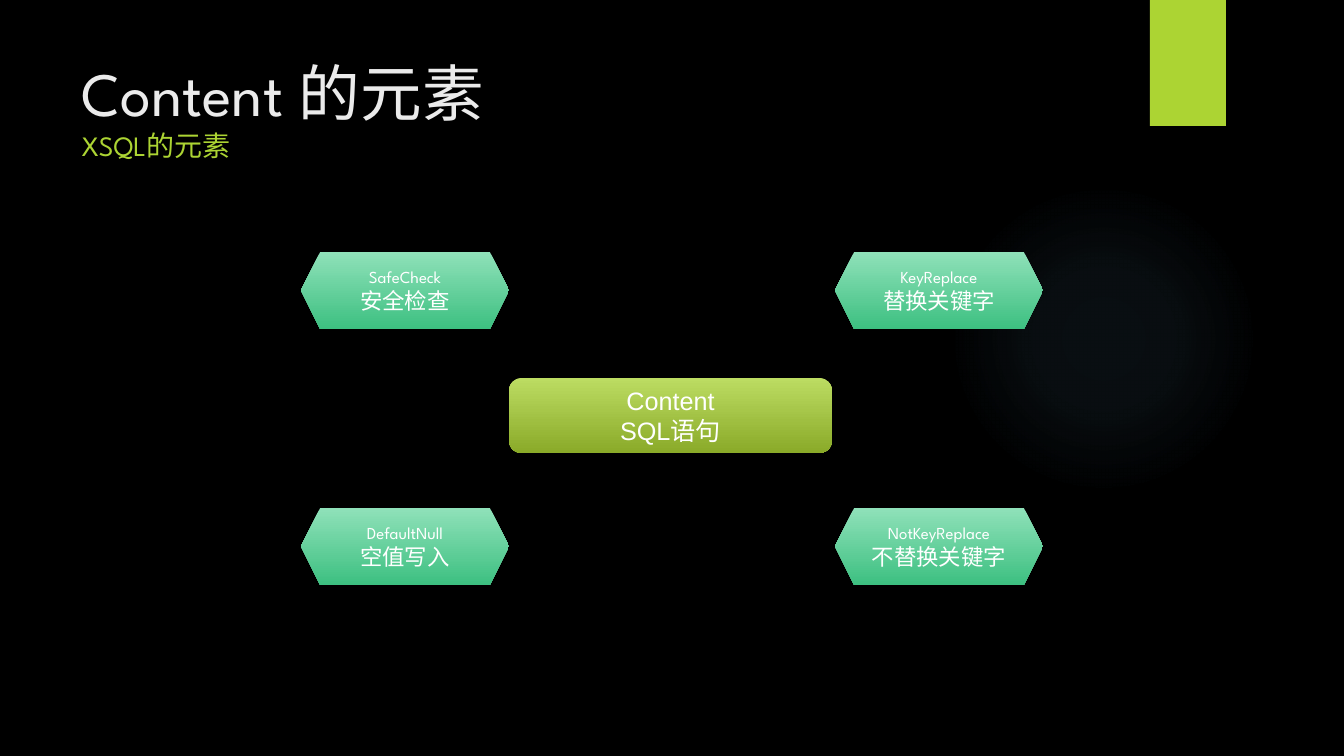
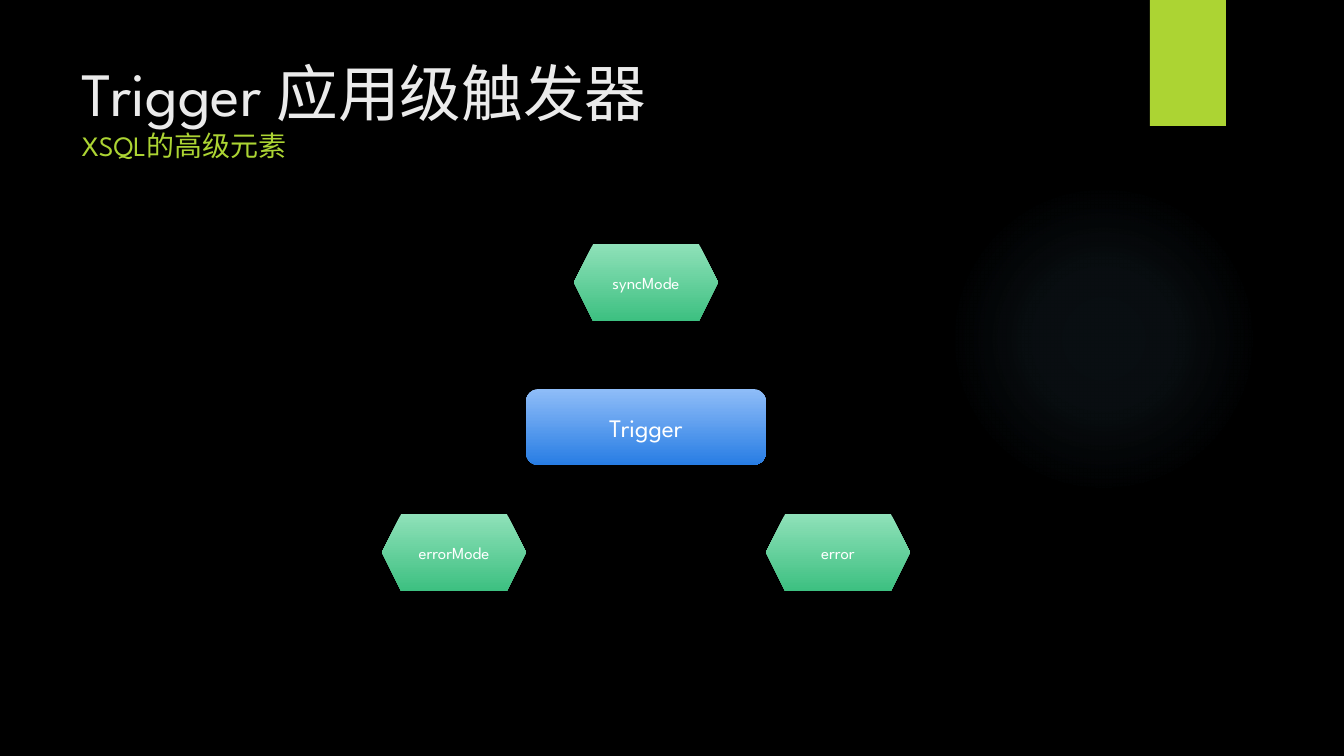
from dataclasses import dataclass
from itertools import product

from lxml.etree import fromstring
from pptx import Presentation
from pptx.dml.color import RGBColor
from pptx.enum.shapes import MSO_SHAPE
from pptx.enum.text import MSO_ANCHOR, PP_ALIGN
from pptx.util import Emu, Pt

EMU_PER_PIXEL = 914400 / 100.8
DRAWING_NAMESPACE = "http://schemas.openxmlformats.org/drawingml/2006/main"


@dataclass(frozen=True)
class Theme:
    background: str = "000000"
    accent: str = "ACD433"
    heading: str = "EBEBEB"
    label: str = "FFFFFF"
    glow: str = "7AC4F0"
    green: tuple = ("8FE1B9", "3DC081")
    lime: tuple = ("BCDC62", "8AAA29")
    blue: tuple = ("8FBDF8", "287DE4")
    font: str = "League Spartan"
    plain_font: str = "Arial"
    title_size: int = 44
    subtitle_size: int = 20
    core_size: int = 18
    caption_size: int = 16
    name_size: int = 12


THEME = Theme()


def px(length):
    return Emu(round(length * EMU_PER_PIXEL))


def add_span(para, text, size, color, font=THEME.font):
    span = para.add_run()
    span.text = text
    span.font.size = Pt(size)
    span.font.name = font
    span.font.color.rgb = RGBColor.from_string(color)


def add_plain_shape(page, kind, bounds):
    shape = page.shapes.add_shape(kind, *map(px, bounds))
    shape.shadow.inherit = False
    shape.line.fill.background()
    return shape


def add_glow(page):
    glow = add_plain_shape(page, MSO_SHAPE.OVAL, (949, 184, 310, 310))
    glow.fill.background()
    stops = "".join(
        f'<a:gs pos="{position * 1000}"><a:srgbClr val="{THEME.glow}">'
        f'<a:alpha val="{alpha * 1000}"/></a:srgbClr></a:gs>'
        for position, alpha in ((0, 7), (36, 6), (69, 0))
    )
    gradient = fromstring(
        f'<a:gradFill xmlns:a="{DRAWING_NAMESPACE}" rotWithShape="1">'
        f'<a:gsLst>{stops}</a:gsLst><a:path path="circle">'
        '<a:fillToRect l="50000" t="50000" r="50000" b="50000"/>'
        '</a:path></a:gradFill>'
    )
    properties = glow.element.spPr
    properties.replace(properties.find(f"{{{DRAWING_NAMESPACE}}}noFill"), gradient)


def add_badge(page):
    badge = add_plain_shape(page, MSO_SHAPE.RECTANGLE, (1150, 0, 76, 126))
    badge.fill.solid()
    badge.fill.fore_color.rgb = RGBColor.from_string(THEME.accent)


def add_heading(page, title, subtitle):
    box = page.shapes.add_textbox(*map(px, (72, 50, 1037, 154)))
    box.text_frame.word_wrap = True
    para = box.text_frame.paragraphs[0]
    add_span(para, title, THEME.title_size, THEME.heading)
    para.add_line_break()
    add_span(para, subtitle, THEME.subtitle_size, THEME.accent)


def add_node(page, kind, bounds, colors, lines, font=THEME.font):
    node = add_plain_shape(page, kind, bounds)
    node.fill.gradient()
    node.fill.gradient_angle = 270
    for stop, color in zip(node.fill.gradient_stops, colors):
        stop.color.rgb = RGBColor.from_string(color)
    frame = node.text_frame
    frame.word_wrap = True
    frame.vertical_anchor = MSO_ANCHOR.MIDDLE
    for index, (text, size) in enumerate(lines):
        para = frame.add_paragraph() if index else frame.paragraphs[0]
        para.alignment = PP_ALIGN.CENTER
        add_span(para, text, size, THEME.label, font)


def add_core(page, bounds, colors, labels, font=THEME.font):
    lines = [(label, THEME.core_size) for label in labels]
    add_node(page, MSO_SHAPE.ROUNDED_RECTANGLE, bounds, colors, lines, font)


def add_element(page, left, top, width, name, caption=None):
    lines = [(name, THEME.name_size)]
    if caption:
        lines.append((caption, THEME.caption_size))
    add_node(page, MSO_SHAPE.HEXAGON, (left, top, width, 77), THEME.green, lines)


def add_page(deck, title, subtitle):
    page = deck.slides.add_slide(deck.slide_layouts[6])
    add_glow(page)
    add_badge(page)
    add_heading(page, title, subtitle)
    return page


def add_content_page(deck):
    page = add_page(deck, "Content 的元素", "XSQL的元素")
    add_core(page, (509, 378, 323, 75), THEME.lime,
             ("Content", "SQL语句"), THEME.plain_font)
    elements = (
        ("SafeCheck", "安全检查"),
        ("DefaultNull", "空值写入"),
        ("KeyReplace", "替换关键字"),
        ("NotKeyReplace", "不替换关键字"),
    )
    for (left, top), (name, caption) in zip(product((301, 835), (252, 508)), elements):
        add_element(page, left, top, 208, name, caption)


def add_trigger_page(deck):
    page = add_page(deck, "Trigger 应用级触发器", "XSQL的高级元素")
    add_core(page, (526, 389, 240, 76), THEME.blue, ("Trigger",))
    for left, top, name in (
        (574, 244, "syncMode"),
        (382, 514, "errorMode"),
        (766, 514, "error"),
    ):
        add_element(page, left, top, 144, name)


def main():
    deck = Presentation()
    deck.slide_width, deck.slide_height = px(1344), px(756)
    backdrop = deck.slide_master.background.fill
    backdrop.solid()
    backdrop.fore_color.rgb = RGBColor.from_string(THEME.background)
    add_content_page(deck)
    add_trigger_page(deck)
    deck.save("out.pptx")


if __name__ == "__main__":
    main()
